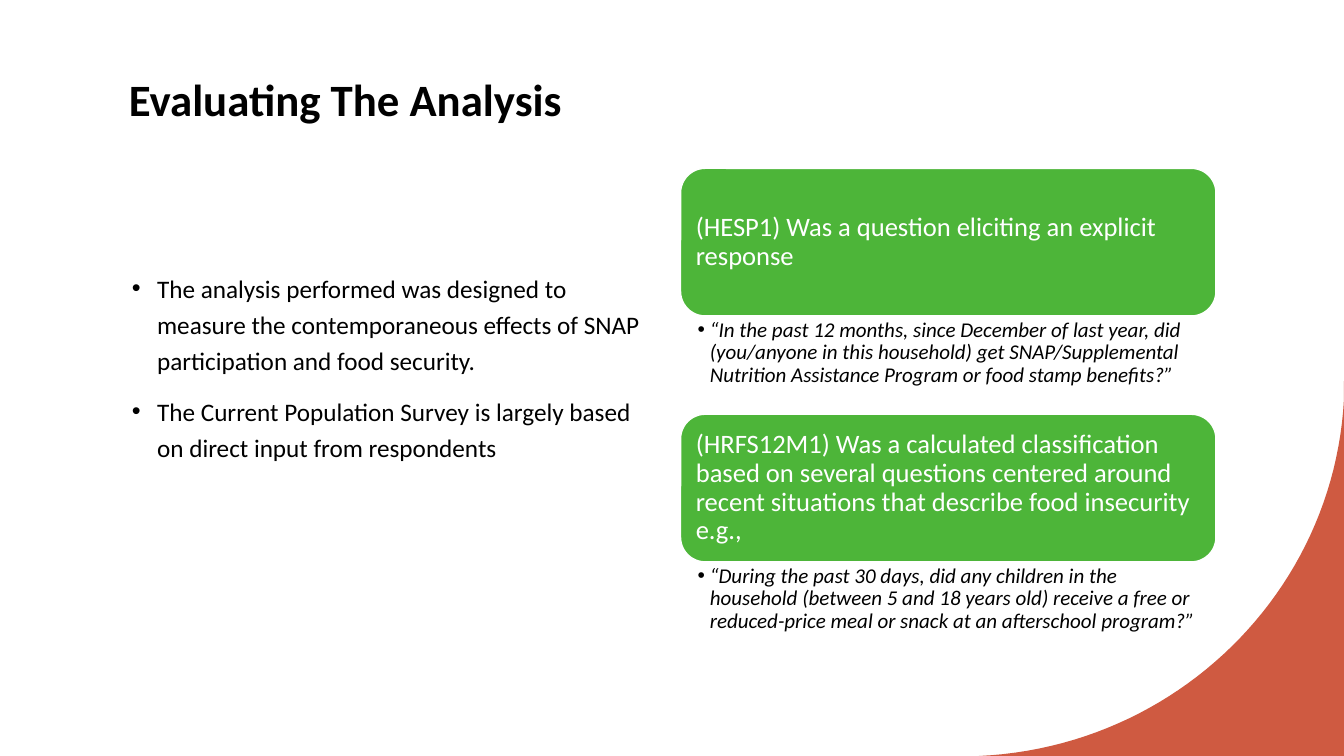
from lxml import etree
from pptx import Presentation
from pptx.dml.color import RGBColor
from pptx.enum import shapes, text
from pptx.oxml import ns
from pptx.util import Inches, Pt

FONT = "Calibri"
COLORS = {"ink": "000000", "paper": "FFFFFF", "green": "4DB539", "coral": "CF5A41"}

POINTS = [
    "The analysis performed was designed to measure the contemporaneous effects "
    "of SNAP participation and food security.",
    "The Current Population Survey is largely based on direct input from respondents",
]
QUESTIONS = [
    ("(HESP1) Was a question eliciting an explicit response",
     "“In the past 12 months, since December of last year, did (you/anyone in this "
     "household) get SNAP/Supplemental Nutrition Assistance Program or food stamp "
     "benefits?”"),
    ("(HRFS12M1) Was a calculated classification based on several questions centered "
     "around recent situations that describe food insecurity e.g.,",
     "“During the past 30 days, did any children in the household (between 5 and 18 "
     "years old) receive a free or reduced-price meal or snack at an afterschool "
     "program?”"),
]


def color(name):
    return RGBColor.from_string(COLORS[name])


def set_insets(tf, left, top, right, bottom):
    tf.margin_left, tf.margin_top = Inches(left), Inches(top)
    tf.margin_right, tf.margin_bottom = Inches(right), Inches(bottom)


def add_bullet(p, indent):
    pPr = p._p.get_or_add_pPr()
    pPr.set("marL", str(Inches(indent)))
    pPr.set("indent", str(-Inches(indent)))
    etree.SubElement(pPr, ns.qn("a:buFont"), typeface="Arial")
    etree.SubElement(pPr, ns.qn("a:buChar"), char="•")


def write(tf, lines, size, ink="ink", spacing=1.0, before=0, bullet=0,
          anchor=text.MSO_ANCHOR.TOP, bold=False, italic=False):
    tf.word_wrap = True
    tf.vertical_anchor = anchor
    tf.text = "\n".join(lines)
    for p in tf.paragraphs:
        p.alignment = text.PP_ALIGN.LEFT
        p.line_spacing = spacing
        p.space_before = Pt(before)
        if bullet:
            add_bullet(p, bullet)
        for r in p.runs:
            r.font.name, r.font.size = FONT, Pt(size)
            r.font.bold, r.font.italic = bold, italic
            r.font.color.rgb = color(ink)


def add_text(s, box, lines, size, **style):
    tf = s.shapes.add_textbox(*map(Inches, box)).text_frame
    write(tf, lines, size, **style)
    return tf


def add_corner(s, x, y, w, h, steps=48):
    """Coral corner whose upper left edge is a cubic curve."""
    right, bottom = x + w, y + h
    curve = [(right, y + 0.18), (right - 0.1, y + 2.09),
             (x + 2.04, bottom - 0.09), (x + 0.08, bottom)]
    edge = []
    for i in range(steps + 1):
        t = i / steps
        weights = ((1 - t) ** 3, 3 * t * (1 - t) ** 2, 3 * t * t * (1 - t), t ** 3)
        edge.append(tuple(Inches(sum(k * pt[axis] for k, pt in zip(weights, curve)))
                          for axis in (0, 1)))
    builder = s.shapes.build_freeform(Inches(right), Inches(y))
    builder.add_line_segments(
        edge + [(Inches(x), Inches(bottom)), (Inches(right), Inches(bottom))])
    sp = builder.convert_to_shape()
    sp.shadow.inherit = False
    sp.fill.solid()
    sp.fill.fore_color.rgb = color("coral")
    sp.line.fill.background()


def add_question(s, x, y, w, h, heading, quote):
    """Green card with the quoted survey question below it."""
    card_h = h * 0.6
    sp = s.shapes.add_shape(shapes.MSO_SHAPE.ROUNDED_RECTANGLE,
                            *map(Inches, (x, y, w, card_h)))
    sp.shadow.inherit = False
    sp.fill.solid()
    sp.fill.fore_color.rgb = color("green")
    sp.line.color.rgb = color("paper")
    sp.line.width = Pt(1)
    set_insets(sp.text_frame, 0.08, 0.08, 0.08, 0.08)
    write(sp.text_frame, [heading], 19, ink="paper", spacing=0.9,
          anchor=text.MSO_ANCHOR.MIDDLE)
    tf = add_text(s, (x, y + card_h, w, h - card_h), [quote], 15,
                  spacing=0.9, bullet=0.12, italic=True)
    set_insets(tf, 0.17, 0.03, 0.15, 0.03)


def add_questions(s, x, y, w, h):
    """Equal rows, one per survey question."""
    row_h = h / len(QUESTIONS)
    for i, (heading, quote) in enumerate(QUESTIONS):
        add_question(s, x, y + i * row_h, w, row_h, heading, quote)


def main():
    prs = Presentation()
    prs.slide_width, prs.slide_height = Inches(13.33), Inches(7.5)
    s = prs.slides.add_slide(prs.slide_layouts[6])

    # Background corner
    add_corner(s, 9.63, 3.78, 3.7, 3.72)

    # Title and key points
    add_text(s, (1.18, 0.61, 10.88, 0.68), ["Evaluating The Analysis"], 32,
             spacing=1.1, anchor=text.MSO_ANCHOR.BOTTOM, bold=True)
    add_text(s, (1.21, 2.6, 5.41, 2.29), POINTS, 18,
             spacing=1.2, before=10, bullet=0.25)

    # Survey questions
    add_questions(s, 6.75, 1.67, 5.31, 4.88)

    prs.save("out.pptx")


if __name__ == "__main__":
    main()
